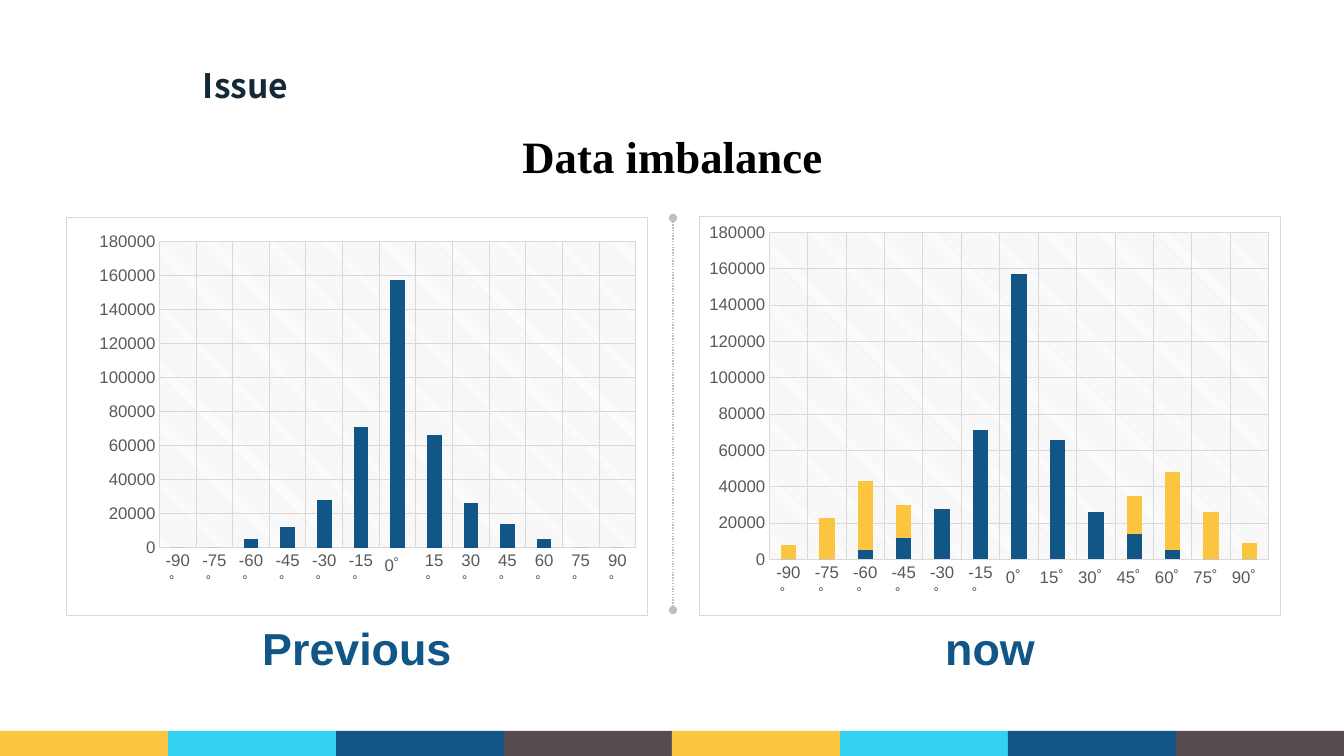
from dataclasses import dataclass

from pptx import Presentation
from pptx.chart.data import CategoryChartData
from pptx.dml.color import RGBColor
from pptx.enum.chart import XL_CHART_TYPE as ChartType, XL_TICK_MARK as Tick
from pptx.enum.dml import MSO_LINE
from pptx.enum.shapes import MSO_CONNECTOR as Connector, MSO_SHAPE as Shape
from pptx.enum.text import MSO_ANCHOR as Anchor, MSO_AUTO_SIZE as AutoSize, PP_ALIGN as Align
from pptx.oxml import parse_xml
from pptx.oxml.ns import nsdecls, qn
from pptx.util import Emu, Pt


@dataclass(frozen=True)
class Theme:
    ink: str = "142938"
    black: str = "000000"
    white: str = "FFFFFF"
    blue: str = "115686"
    yellow: str = "FCC540"
    cyan: str = "35D1F1"
    brown: str = "554C51"
    grey: str = "BFBFBF"
    rule: str = "D9D9D9"
    axis: str = "595959"
    title_font: str = "Noto Sans CJK SC"
    heading_font: str = "Times New Roman"
    body_font: str = "Arial"
    title_size: int = 24
    heading_size: int = 32
    axis_size: int = 12


T = Theme()
PX_PER_INCH = 100.8
SLIDE_W, SLIDE_H = 1344, 756

ANGLES = [f"{a}゜" for a in (-90, -75, -60, -45, -30, -15, 0, 15, 30, 45, 60, 75, 90)]
COLLECTED = (0, 0, 5000, 12000, 28000, 71000, 157000, 66000, 26000, 14000, 5000, 0, 0)
ADDED = (8000, 23000, 38000, 18000, 0, 0, 0, 0, 0, 21000, 43000, 26000, 9000)


def px(n):
    return Emu(round(n * 914400 / PX_PER_INCH))


def rgb(color):
    return RGBColor.from_string(color)


def set_font(font, name, size, color, bold=False):
    font.name, font.size, font.bold = name, Pt(size), bold
    font.color.rgb = rgb(color)


def set_line(line, color, width):
    line.color.rgb = rgb(color)
    line.width = Pt(width)


def write(sp, text, font, size, color, align=Align.CENTER, inset=(0, 0)):
    tf = sp.text_frame
    tf.text = text
    tf.word_wrap = True
    tf.auto_size = AutoSize.NONE
    tf.vertical_anchor = Anchor.MIDDLE
    tf.margin_left = tf.margin_right = px(inset[0])
    tf.margin_top = tf.margin_bottom = px(inset[1])
    p = tf.paragraphs[0]
    p.alignment = align
    set_font(p.font, font, size, color, bold=True)


def add_title(s, x, y, w, h):
    sp = s.shapes.title
    sp.left, sp.top, sp.width, sp.height = map(px, (x, y, w, h))
    write(sp, "Issue", T.title_font, T.title_size, T.ink, Align.LEFT, (10, 5))


def add_label(s, text, box, font, color):
    sp = s.shapes.add_textbox(*map(px, box))
    write(sp, text, font, T.heading_size, color)


def add_footer(s, x, y, w, h):
    colors = (T.yellow, T.cyan, T.blue, T.brown) * 2
    step = w // len(colors)
    for i, color in enumerate(colors):
        sp = s.shapes.add_shape(Shape.RECTANGLE, px(x + i * step), px(y), px(step), px(h))
        sp.shadow.inherit = False
        sp.fill.solid()
        sp.fill.fore_color.rgb = rgb(color)
        sp.line.fill.background()


def add_divider(s, x, top, bottom):
    c = s.shapes.add_connector(Connector.STRAIGHT, px(x), px(top), px(x), px(bottom))
    set_line(c.line, T.grey, 1)
    c.line.dash_style = MSO_LINE.ROUND_DOT
    ln = c.line._get_or_add_ln()
    for end in ("headEnd", "tailEnd"):
        ln.append(parse_xml(f'<a:{end} {nsdecls("a")} type="oval"/>'))
    c._element.spPr.append(parse_xml(f'<a:effectLst {nsdecls("a")}/>'))


def style_axis(axis):
    axis.major_tick_mark = axis.minor_tick_mark = Tick.NONE
    axis.has_major_gridlines = True
    set_line(axis.format.line, T.rule, 0.75)
    set_line(axis.major_gridlines.format.line, T.rule, 0.75)
    set_font(axis.tick_labels.font, T.body_font, T.axis_size, T.axis)


def style_areas(chart, plot_box):
    def solid(color):
        return f'<a:solidFill><a:srgbClr val="{color}"/></a:solidFill>'

    ns = nsdecls("c", "a")
    chart.element.find(qn("c:chart")).addnext(parse_xml(
        f'<c:spPr {ns}>{solid(T.white)}<a:ln w="9525">{solid(T.rule)}</a:ln></c:spPr>'))
    area = chart.element.find(".//" + qn("c:plotArea"))
    for old in area.findall(qn("c:layout")):
        area.remove(old)
    places = "".join(f'<c:{k} val="{v}"/>' for k, v in zip("xywh", plot_box))
    area.insert(0, parse_xml(
        f'<c:layout {ns}><c:manualLayout><c:layoutTarget val="inner"/>'
        f'<c:xMode val="edge"/><c:yMode val="edge"/>{places}</c:manualLayout></c:layout>'))
    area.append(parse_xml(
        f'<c:spPr {ns}><a:pattFill prst="ltDnDiag"><a:fgClr><a:srgbClr val="{T.rule}"/></a:fgClr>'
        f'<a:bgClr><a:srgbClr val="{T.white}"/></a:bgClr></a:pattFill></c:spPr>'))


def add_chart_panel(s, caption, box, series, plot):
    x, y, w, h = box
    data = CategoryChartData(number_format="General")
    data.categories = ANGLES
    for i, values in enumerate(series, 1):
        data.add_series(f"Series {i}", values)
    chart = s.shapes.add_chart(ChartType.COLUMN_STACKED, *map(px, box), data).chart
    chart.has_title = chart.has_legend = False
    set_font(chart.font, T.body_font, 10, T.black)
    bars = chart.plots[0]
    bars.gap_width, bars.overlap, bars.vary_by_categories = 150, 100, False
    for ser, color in zip(bars.series, (T.blue, T.yellow)):
        ser.format.fill.solid()
        ser.format.fill.fore_color.rgb = rgb(color)
    style_axis(chart.category_axis)
    style_axis(chart.value_axis)
    chart.value_axis.minimum_scale = 0
    chart.value_axis.maximum_scale = 180000
    chart.value_axis.major_unit = 20000
    style_areas(chart, plot)
    add_label(s, caption, (x, y + h + 5, w, 54), T.body_font, T.blue)


def main():
    prs = Presentation()
    prs.slide_width, prs.slide_height = px(SLIDE_W), px(SLIDE_H)
    s = prs.slides.add_slide(prs.slide_layouts[5])
    add_footer(s, 0, 731, SLIDE_W, 25)
    add_title(s, 193, 60, 107, 50)
    add_label(s, "Data imbalance", (461, 123, 423, 65), T.heading_font, T.black)
    add_divider(s, 673, 218, 610)
    add_chart_panel(s, "Previous", (66, 217, 582, 399), [COLLECTED], (0.16, 0.06, 0.82, 0.77))
    add_chart_panel(s, "now", (699, 216, 582, 400), [COLLECTED, ADDED], (0.12, 0.04, 0.86, 0.82))
    prs.save("out.pptx")


if __name__ == "__main__":
    main()
